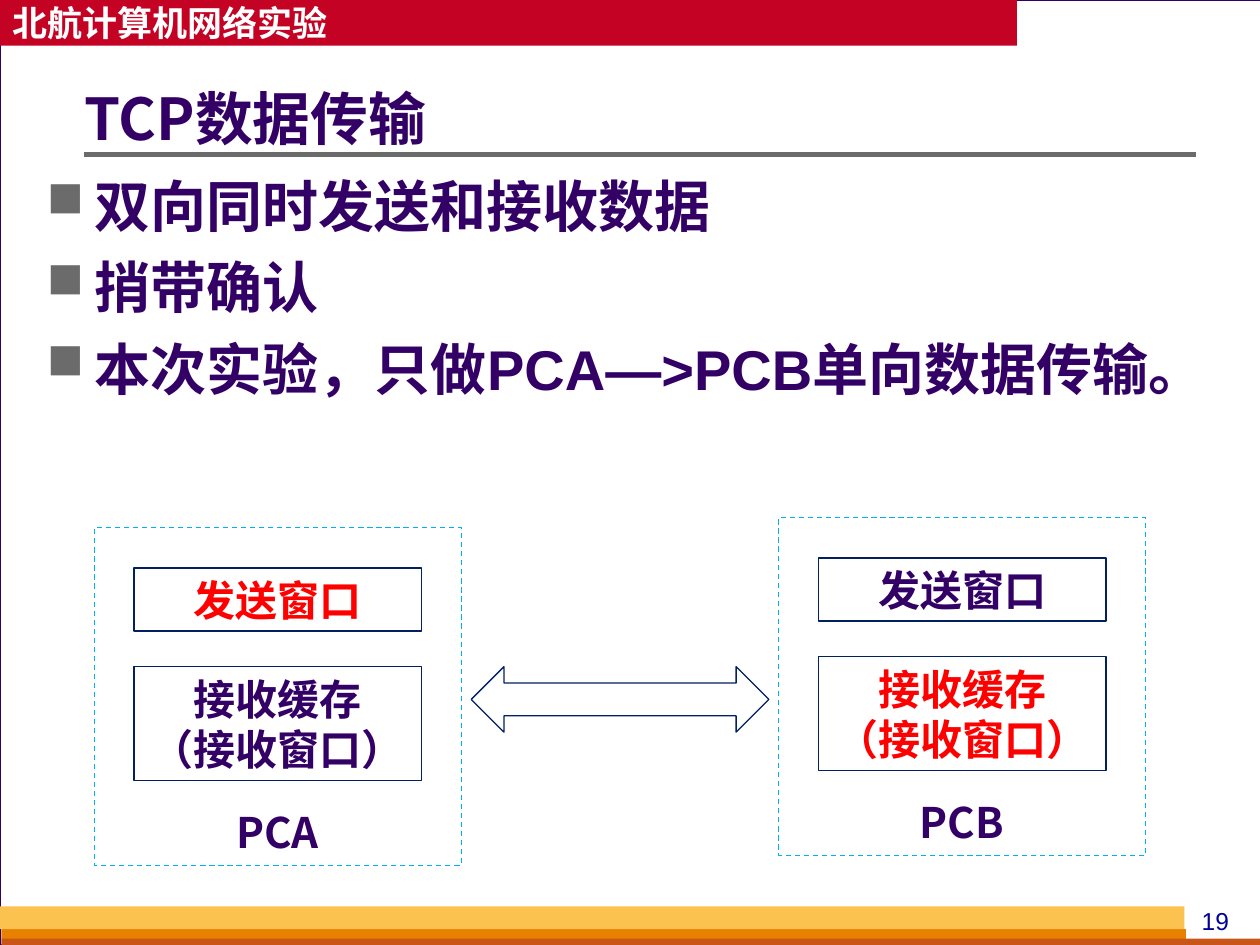
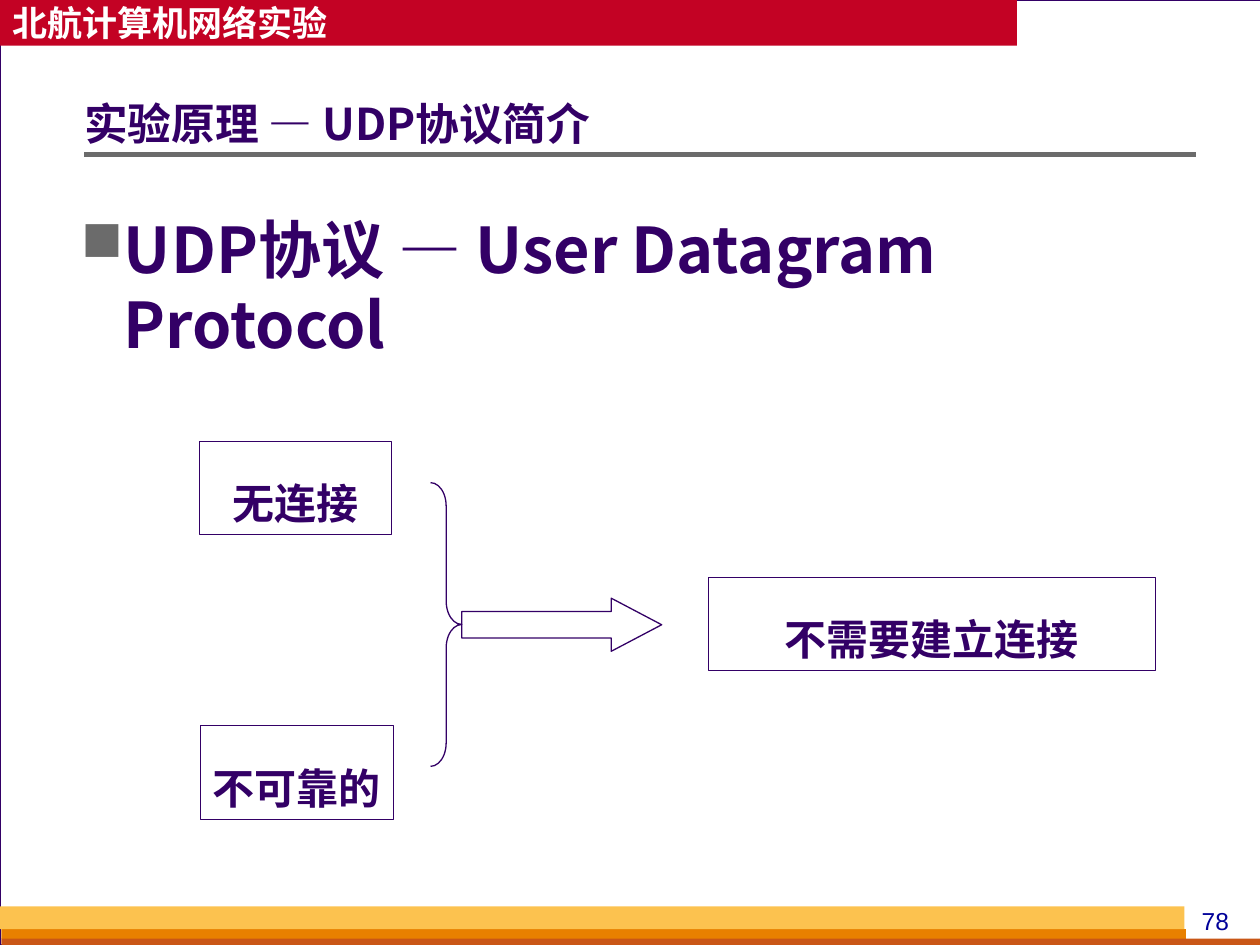
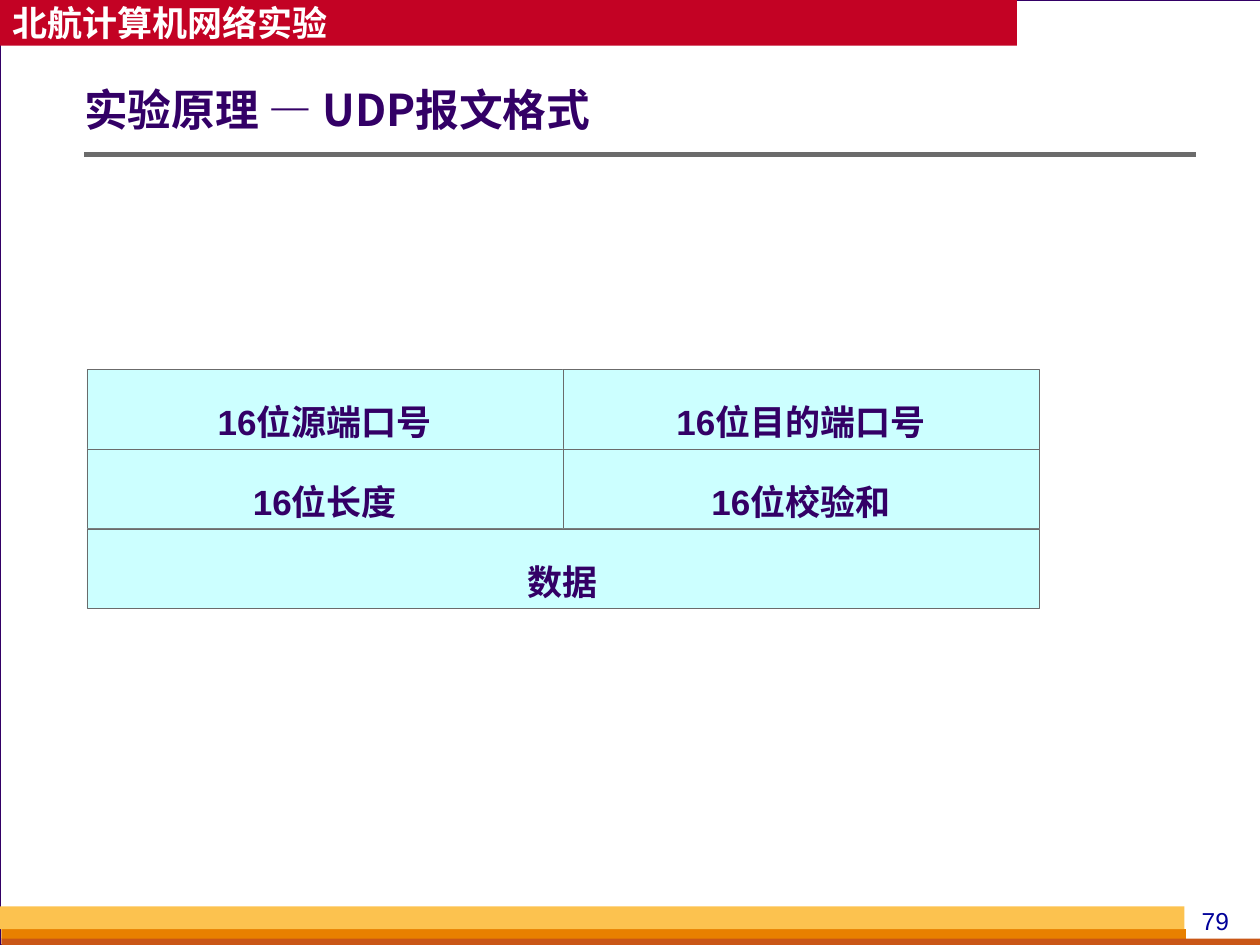
import dataclasses

import pptx
import pptx.dml.color
import pptx.enum.dml
import pptx.enum.shapes
import pptx.enum.text
import pptx.oxml.ns
import pptx.util
from lxml import etree

Cm, Pt = pptx.util.Cm, pptx.util.Pt
SHAPE = pptx.enum.shapes.MSO_SHAPE
ALIGN = pptx.enum.text.PP_ALIGN
ANCHOR = pptx.enum.text.MSO_ANCHOR
qn = pptx.oxml.ns.qn


@dataclasses.dataclass(frozen=True)
class Theme:
    cjk: str = "Noto Sans CJK SC"
    latin: str = "Arial"
    backdrop: str = "D8DADA"
    white: str = "FFFFFF"
    ink: str = "330066"
    grey: str = "6B6B6B"
    red: str = "C30224"
    orange: str = "E88000"
    rust: str = "C95616"
    amber: str = "FCC24F"
    number: str = "000099"
    navy: str = "002060"
    dash: str = "00B0F0"
    highlight: str = "FF0000"
    field: str = "CCFFFF"
    number_size: float = 14
    small_size: float = 20
    label_size: float = 24
    subtitle_size: float = 25
    bullet_size: float = 32
    title_size: float = 33
    lead_size: float = 36
    hairline: float = 0.25
    outline: float = 0.75
    rule: float = 3
    loose: float = 1.6


THEME = Theme()


@dataclasses.dataclass(frozen=True)
class Box:
    """A rectangle in centimetres."""
    left: float
    top: float
    width: float
    height: float

    def inner(self, left, top, width, height):
        """A box whose offset is counted from this box's corner."""
        return Box(self.left + left, self.top + top, width, height)

    def lengths(self):
        return [Cm(side) for side in dataclasses.astuple(self)]


def rgb(colour):
    return pptx.dml.color.RGBColor.from_string(colour)


def add_bullet(paragraph, margin, hang):
    properties = paragraph._p.get_or_add_pPr()
    properties.set("marL", str(Cm(margin)))
    properties.set("indent", str(-Cm(hang)))
    colour = etree.SubElement(properties, qn("a:buClr"))
    etree.SubElement(colour, qn("a:srgbClr"), val=THEME.grey)
    etree.SubElement(properties, qn("a:buSzPct"), val="90000")
    etree.SubElement(properties, qn("a:buChar"), char="■")


def write(holder, *paragraphs, size=THEME.label_size, colour=THEME.ink, bold=True,
          latin=THEME.cjk, align=ALIGN.LEFT, anchor=ANCHOR.TOP, spacing=None,
          before=0, bullet=None, inset=0.25, wrap=True):
    """Fill a shape; a paragraph is a string or a list of (text, latin font) runs."""
    frame = holder.text_frame
    frame.word_wrap = wrap
    frame.vertical_anchor = anchor
    frame.margin_left, frame.margin_right = Cm(inset), Cm(0.25)
    frame.margin_top = frame.margin_bottom = Cm(0.13)
    for index, content in enumerate(paragraphs):
        paragraph = frame.add_paragraph() if index else frame.paragraphs[0]
        if bullet:
            add_bullet(paragraph, *bullet)
        paragraph.alignment = align
        if spacing:
            paragraph.line_spacing = spacing
        if index and before:
            paragraph.space_before = Pt(before)
        runs = [(content, latin)] if isinstance(content, str) else content
        for words, face in runs:
            run = paragraph.add_run()
            run.text = words
            run.font.name, run.font.size, run.font.bold = face, Pt(size), bold
            run.font.color.rgb = rgb(colour)
            east_asian = etree.Element(qn("a:ea"), typeface=THEME.cjk)
            run.font._rPr.find(qn("a:latin")).addnext(east_asian)


def add_text(slide, box, *paragraphs, **formatting):
    write(slide.shapes.add_textbox(*box.lengths()), *paragraphs, **formatting)


def add_figure(shapes, box, preset=SHAPE.RECTANGLE, fill=None, line=None,
               weight=THEME.outline, dashed=False, adjustments=()):
    figure = shapes.add_shape(preset, *box.lengths())
    figure.shadow.inherit = False
    if fill:
        figure.fill.solid()
        figure.fill.fore_color.rgb = rgb(fill)
    else:
        figure.fill.background()
    if line:
        figure.line.color.rgb = rgb(line)
        figure.line.width = Pt(weight)
        if dashed:
            figure.line.dash_style = pptx.enum.dml.MSO_LINE.DASH
    else:
        figure.line.fill.background()
    for index, value in enumerate(adjustments):
        figure.adjustments[index] = value
    return figure


def add_title_rule(slide):
    rule = slide.shapes.add_connector(pptx.enum.shapes.MSO_CONNECTOR.STRAIGHT,
                                      Cm(1.7), Cm(3.12), Cm(24.1), Cm(3.12))
    rule.line.color.rgb = rgb(THEME.grey)
    rule.line.width = Pt(THEME.rule)
    etree.SubElement(rule._element.spPr, qn("a:effectLst"))


def start_slide(deck, number, title, title_size, title_box):
    """Add a blank slide with the shared bands, page number and title."""
    slide = deck.slides.add_slide(deck.slide_layouts[6])
    slide.background.fill.solid()
    slide.background.fill.fore_color.rgb = rgb(THEME.backdrop)
    add_figure(slide.shapes, Box(0, 0, 25.42, 19.05), fill=THEME.white, line=THEME.ink)
    header = add_figure(slide.shapes, Box(0, 0, 20.5, 0.92), fill=THEME.red)
    write(header, "北航计算机网络实验", size=THEME.small_size, colour=THEME.white,
          anchor=ANCHOR.MIDDLE)
    for band, colour in ((Box(0.03, 18.73, 23.88, 0.2), THEME.orange),
                         (Box(0.03, 18.92, 25.4, 0.2), THEME.rust),
                         (Box(0, 18.27, 23.88, 0.46), THEME.amber)):
        add_figure(slide.shapes, band, fill=colour)
    add_text(slide, Box(23.7, 18.14, 1.6, 0.86), number, size=THEME.number_size,
             colour=THEME.number, bold=False, latin=THEME.latin, align=ALIGN.CENTER)
    add_title_rule(slide)
    add_text(slide, title_box, title, size=title_size, anchor=ANCHOR.MIDDLE,
             spacing=0.9, inset=0)
    return slide


def principle_title(topic):
    return [("实验原理 ", THEME.cjk), ("— ", THEME.latin), (topic, THEME.cjk)]


def draw_host(slide, box, name, send_colour, receive_colour):
    """Draw one computer with its send window and receive buffer."""
    windows = ((box.inner(0.8, 0.81, 5.8, 1.27), send_colour, ["发送窗口"]),
               (box.inner(0.8, 2.8, 5.8, 2.29), receive_colour,
                ["接收缓存", "（接收窗口）"]))
    for place, colour, labels in windows:
        window = add_figure(slide.shapes, place, line=THEME.navy)
        write(window, *labels, colour=colour, align=ALIGN.CENTER)
    add_figure(slide.shapes, box, line=THEME.dash, dashed=True)
    add_text(slide, box.inner(1.99, 5.49, 3.4, 1.27), name, align=ALIGN.CENTER)


def draw_property(slide, box, label, wrap=True):
    frame = add_figure(slide.shapes, box, line=THEME.ink, weight=THEME.hairline)
    write(frame, label, align=ALIGN.CENTER, anchor=ANCHOR.MIDDLE,
          spacing=THEME.loose, wrap=wrap)


def draw_datagram(slide, box, rows):
    """Stack header rows; the fields of a row share its width equally."""
    fields = slide.shapes.add_group_shape().shapes
    height = box.height / len(rows)
    for row, labels in enumerate(rows):
        width = box.width / len(labels)
        for column, label in enumerate(labels):
            place = box.inner(column * width, row * height, width, height)
            field = add_figure(fields, place, fill=THEME.field, line=THEME.grey,
                               weight=THEME.hairline)
            write(field, label, size=THEME.small_size, latin=THEME.latin,
                  align=ALIGN.CENTER, anchor=ANCHOR.MIDDLE, spacing=THEME.loose)


def build_transfer(deck):
    slide = start_slide(deck, "19", "TCP数据传输", THEME.title_size,
                        Box(1.7, 1.17, 22.4, 2.56))
    add_text(slide, Box(0.69, 3.33, 24.2, 6.8), "双向同时发送和接收数据", "捎带确认",
             "本次实验，只做PCA—>PCB单向数据传输。", size=THEME.bullet_size,
             latin=THEME.latin, before=8, bullet=(0.97, 0.97))
    draw_host(slide, Box(1.9, 10.64, 7.4, 6.81), "PCA", THEME.highlight, THEME.ink)
    draw_host(slide, Box(15.7, 10.44, 7.4, 6.81), "PCB", THEME.ink, THEME.highlight)
    add_figure(slide.shapes, Box(9.5, 13.44, 6, 1.32), SHAPE.LEFT_RIGHT_ARROW,
               line=THEME.navy, adjustments=(0.5, 0.5))


def build_protocol(deck):
    slide = start_slide(deck, "78", principle_title("UDP协议简介"),
                        THEME.subtitle_size, Box(1.7, 1.27, 22.4, 2.56))
    add_text(slide, Box(1.1, 4.11, 23, 3.4), "UDP协议 — User Datagram Protocol",
             size=THEME.lead_size, bullet=(1.15, 0.87))
    draw_property(slide, Box(4.01, 8.89, 3.88, 1.89), "无连接")
    draw_property(slide, Box(4.04, 14.62, 3.88, 1.89), "不可靠的", wrap=False)
    add_figure(slide.shapes, Box(9.31, 12.06, 4.03, 1.07), SHAPE.RIGHT_ARROW,
               line=THEME.ink, adjustments=(0.5, 0.95))
    add_figure(slide.shapes, Box(8.68, 9.73, 0.63, 5.72), SHAPE.RIGHT_BRACE,
               line=THEME.ink, adjustments=(0.75, 0.5))
    draw_property(slide, Box(14.28, 11.63, 9, 1.89), "不需要建立连接")


def build_format(deck):
    slide = start_slide(deck, "79", principle_title("UDP报文格式"),
                        THEME.subtitle_size, Box(1.7, 1.17, 22.4, 2.18))
    draw_datagram(slide, Box(1.75, 7.44, 19.2, 4.83),
                  (("16位源端口号", "16位目的端口号"), ("16位长度", "16位校验和"), ("数据",)))


def main():
    deck = pptx.Presentation()
    deck.slide_width, deck.slide_height = Cm(25.4), Cm(19.05)
    build_transfer(deck)
    build_protocol(deck)
    build_format(deck)
    deck.save("out.pptx")


if __name__ == "__main__":
    main()
